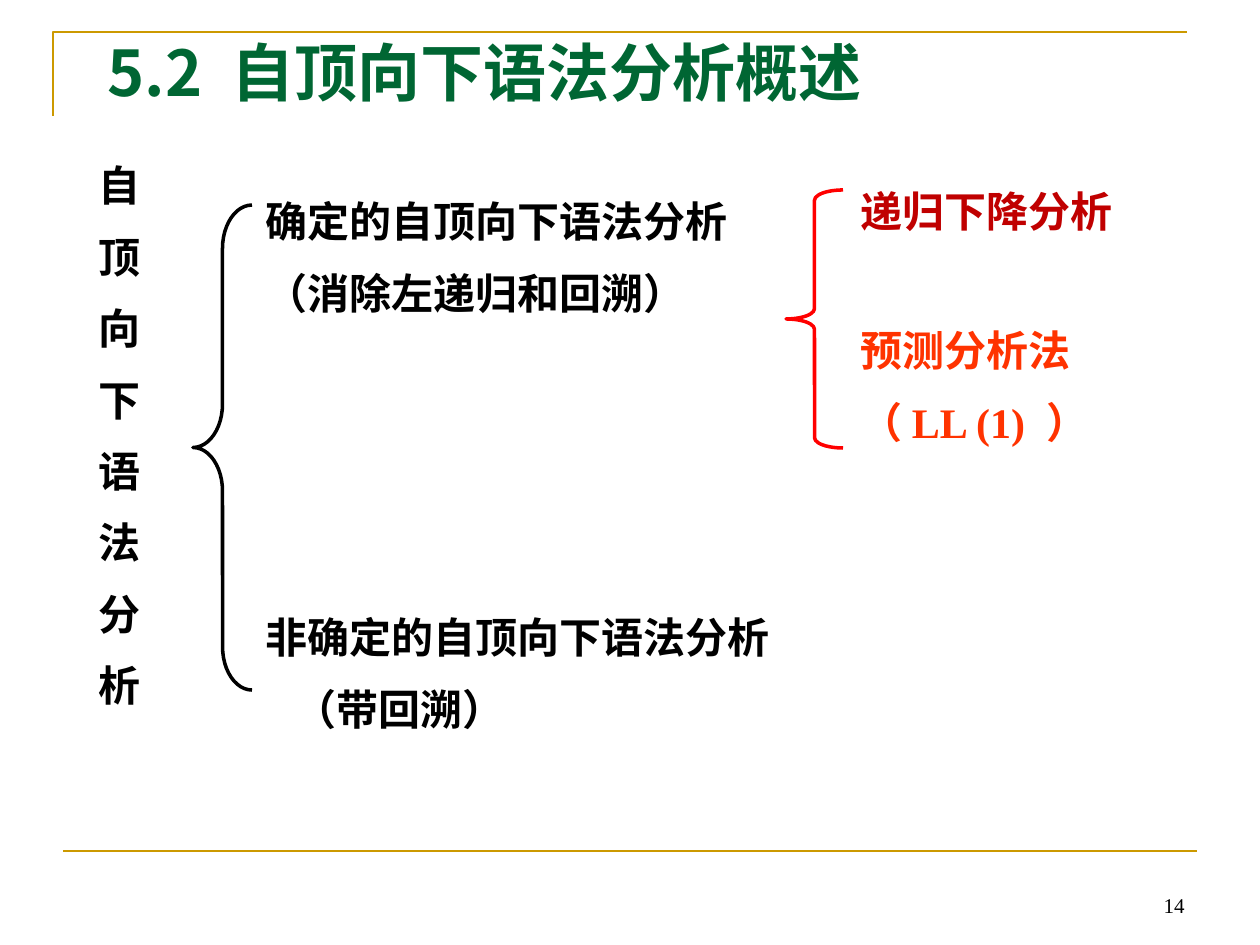
import pptx
import pptx.util
import pptx.dml.color
import pptx.enum.shapes
import pptx.enum.text
import pptx.oxml
import pptx.oxml.ns

INK = {"gold": "CC9900", "green": "006633", "black": "000000",
       "red": "FF0000", "wine": "C00000", "flame": "FF3300"}
SANS = "Noto Sans CJK SC"
SERIF = "Times New Roman"
ALIGN = pptx.enum.text.PP_ALIGN
ANCHOR = pptx.enum.text.MSO_ANCHOR


class Deck:
    scale = 914400 / 126

    def __init__(self, wide, high):
        self.file = pptx.Presentation()
        self.file.slide_width = self.emu(wide)
        self.file.slide_height = self.emu(high)
        self.slide = self.file.slides.add_slide(self.file.slide_layouts[5])
        self.shapes = self.slide.shapes

    def emu(self, px):
        return pptx.util.Emu(round(px * self.scale))

    def area(self, box):
        return [self.emu(px) for px in box]

    def paint(self, item, ink):
        item.rgb = pptx.dml.color.RGBColor.from_string(INK[ink])

    def stroke(self, shape, ink, width):
        self.paint(shape.line.color, ink)
        shape.line.width = pptx.util.Pt(width)

    def style(self, para, ink, size, face, bold):
        for run in para.runs:
            run.font.size = pptx.util.Pt(size)
            run.font.bold = bold
            run.font.name = face
            self.paint(run.font.color, ink)
            east = pptx.oxml.parse_xml(
                f'<a:ea {pptx.oxml.ns.nsdecls("a")} typeface="{SANS}"/>')
            run._r.get_or_add_rPr().append(east)

    def title(self, box, text, ink, size):
        head = self.shapes.title
        head.left, head.top, head.width, head.height = self.area(box)
        frame = head.text_frame
        frame.text = text
        frame.word_wrap = True
        frame.auto_size = pptx.enum.text.MSO_AUTO_SIZE.NONE
        frame.vertical_anchor = ANCHOR.BOTTOM
        frame.paragraphs[0].alignment = ALIGN.LEFT
        self.style(frame.paragraphs[0], ink, size, SANS, True)

    def text(self, box, lines, ink):
        frame = self.shapes.add_textbox(*self.area(box)).text_frame
        frame.word_wrap = True
        frame.text = "\n".join(lines)
        for rank, para in enumerate(frame.paragraphs):
            para.line_spacing = pptx.util.Pt(31.4)
            para.space_before = pptx.util.Pt(9.4 if rank else 0)
            self.style(para, ink, 24, SERIF, True)
        return frame

    def number(self, box, text):
        frame = self.shapes.add_textbox(*self.area(box)).text_frame
        frame.word_wrap = True
        frame.vertical_anchor = ANCHOR.BOTTOM
        frame.text = text
        frame.paragraphs[0].alignment = ALIGN.RIGHT
        self.style(frame.paragraphs[0], "black", 12, SERIF, False)

    def brace(self, box, bend, ink):
        kind = pptx.enum.shapes.MSO_SHAPE.LEFT_BRACE
        shape = self.shapes.add_shape(kind, *self.area(box))
        shape.shadow.inherit = False
        shape.fill.background()
        shape.adjustments[0] = bend
        shape.adjustments[1] = 0.5
        self.stroke(shape, ink, 2)

    def corner(self, start, *points):
        pen = self.shapes.build_freeform(*start, scale=self.scale)
        pen.add_line_segments(points, close=False)
        shape = pen.convert_to_shape()
        shape.shadow.inherit = False
        shape.fill.background()
        self.stroke(shape, "gold", 1.5)

    def rule(self, left, right, y):
        kind = pptx.enum.shapes.MSO_CONNECTOR.STRAIGHT
        line = self.shapes.add_connector(kind, *self.area((left, y, right, y)))
        self.stroke(line, "gold", 1.5)
        flat = f'<a:effectLst {pptx.oxml.ns.nsdecls("a")}/>'
        line._element.spPr.append(pptx.oxml.parse_xml(flat))


def main():
    deck = Deck(1260, 945)
    deck.corner((53, 116), (53, 32), (1187, 32))
    deck.rule(63, 1197, 851)
    deck.number((903, 861, 294, 63), "14")
    deck.title((95, 20, 1071, 95), "5.2  自顶向下语法分析概述", "green", 36)

    deck.text((86, 149, 69, 599), "自顶向下语法分析", "black")
    deck.brace((193, 205, 59, 485), 0.737, "black")
    deck.text((253, 185, 586, 140),
              ["确定的自顶向下语法分析", "（消除左递归和回溯）"], "black")
    open_end = deck.text((253, 601, 586, 140),
                         ["非确定的自顶向下语法分析", "（带回溯）"], "black")
    props = open_end.paragraphs[1]._p.get_or_add_pPr()
    props.set("marL", str(deck.emu(29)))
    props.set("indent", "0")

    deck.brace((786, 190, 57, 258), 0.181, "red")
    deck.text((848, 175, 328, 63), ["递归下降分析"], "wine")
    deck.text((848, 314, 377, 140), ["预测分析法", "（ LL (1)  ）"], "flame")
    deck.file.save("out.pptx")


if __name__ == "__main__":
    main()
